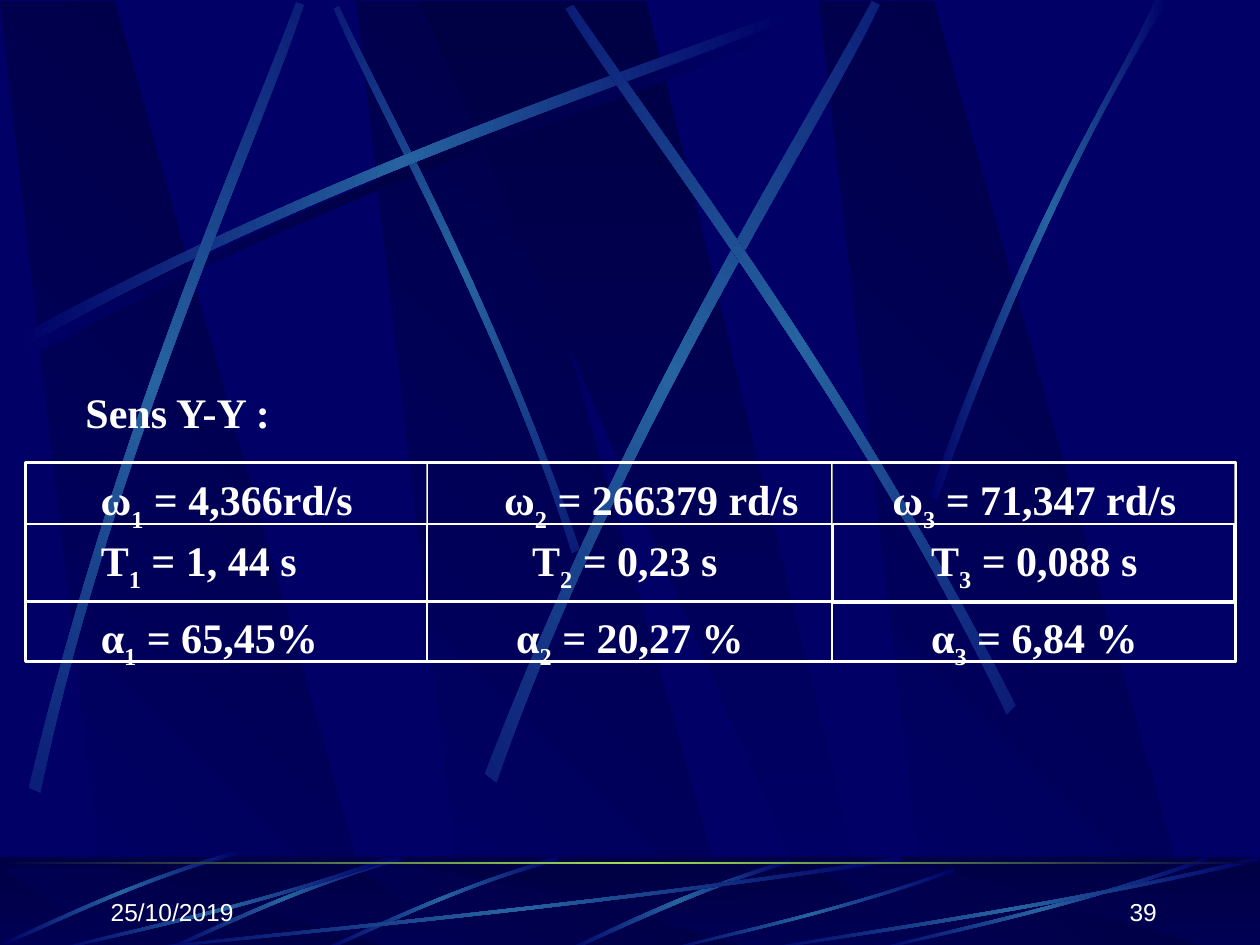
import math
from dataclasses import dataclass

import lxml.etree
import pptx
import pptx.dml.color
import pptx.enum.shapes
import pptx.enum.text
import pptx.oxml.ns
import pptx.util

Inches = pptx.util.Inches
RGBColor = pptx.dml.color.RGBColor
Align = pptx.enum.text.PP_ALIGN
Anchor = pptx.enum.text.MSO_ANCHOR
qn = pptx.oxml.ns.qn

NAVY = RGBColor(0x00, 0x00, 0x66)
DARK = RGBColor(0x00, 0x00, 0x44)
STEEL = RGBColor(0x26, 0x63, 0xA0)
LIME = RGBColor(0x9C, 0xE1, 0x57)
WHITE = RGBColor(0xFF, 0xFF, 0xFF)
GRAY = RGBColor(0xA0, 0xA0, 0xA0)
SERIF, SANS = "Times New Roman", "Arial"

Point = tuple[float, float]


@dataclass
class Streak:
    """A thin band between two cubic curves, four control points each."""
    near: list[Point]
    far: list[Point]
    turn: float = 0
    middle: RGBColor = STEEL


@dataclass
class Entry:
    symbol: str
    index: str
    value: str
    align: Align = Align.CENTER
    left_inset: float = 0
    right_inset: float = 0
    frame: RGBColor = WHITE
    weight: float = 0


@dataclass
class Band:
    start: float
    size: float


TOP_STREAKS = [
    Streak([(0.2, 2.75), (2.84, 1.34), (5.24, 0.59), (6.26, 0.18)],
           [(6.29, 0.24), (5.28, 0.69), (2.54, 1.51), (0.23, 2.85)], middle=DARK),
    Streak([(4.6, 4.36), (3.91, 2.34), (3.02, 0.77), (2.69, 0.05)],
           [(2.65, 0.07), (2.95, 0.79), (3.98, 2.58), (4.54, 4.39)], 45),
    Streak([(0.14, 2.67), (2.78, 1.25), (5.18, 0.51), (6.2, 0.1)],
           [(6.23, 0.16), (5.22, 0.61), (2.48, 1.43), (0.17, 2.77)]),
    Streak([(0.23, 6.25), (0.93, 3.34), (1.97, 1.05), (2.35, 0.02)],
           [(2.41, 0.04), (2.07, 1.09), (0.86, 3.68), (0.32, 6.29)], 311.7),
    Streak([(3.85, 6.14), (4.98, 3.2), (6.38, 1.02), (6.92, 0.01)],
           [(6.98, 0.04), (6.49, 1.08), (4.86, 3.55), (3.94, 6.21)], 321.6),
    Streak([(8.06, 5.6), (6.7, 2.93), (5.16, 0.95), (4.55, 0.04)],
           [(4.49, 0.07), (5.07, 1.01), (6.85, 3.25), (7.99, 5.67)], 34.7),
    Streak([(7.38, 3.94), (8.14, 1.73), (8.88, 0.66), (9.17, 0)],
           [(9.27, 0), (8.36, 1.45), (7.69, 3.22), (7.44, 3.97)]),
]


def steep_streak(left: float, rise: float = 0) -> Streak:
    near = [(1.86, 6.8), (0.99, 7.05), (0.31, 7.4), (0, 7.53)]
    far = [(0.01, 7.55), (0.32, 7.43), (1.09, 7.03), (1.88, 6.83)]
    return Streak(*([(left + x, y - rise) for x, y in side] for side in (near, far)))


def flat_streak(left: float, width: float, top: float = 6.8) -> Streak:
    scale = (7.55 - top) / 0.75
    near = [(1, 0.03), (0.57, 0.43), (0.17, 0.64), (0.005, 0.75)]
    far = [(0, 0.74), (0.165, 0.61), (0.615, 0.38), (0.995, 0)]
    return Streak(*([(left + x * width, top + y * scale) for x, y in side] for side in (near, far)))


BOTTOM_STREAKS = [
    Streak([(6.27, 6.82), (5.37, 7.09), (4.77, 7.42), (4.48, 7.54)],
           [(4.53, 7.55), (4.9, 7.38), (5.71, 7), (6.28, 6.85)]),
    steep_streak(2.56), steep_streak(1.31), steep_streak(0.02, 0.05),
    flat_streak(1, 6.17), flat_streak(0.42, 2.67), flat_streak(5.27, 2.31, 6.89),
    flat_streak(6.92, 2.67), flat_streak(6, 4),
]

COLUMNS = [Band(0.2, 3.19), Band(3.39, 3.21), Band(6.61, 3.19)]
ROWS = [Band(3.68, 0.48), Band(4.16, 0.62), Band(4.77, 0.48)]
RESULTS = [
    [Entry("ω", "1", " = 4,366rd/s", frame=GRAY),
     Entry("ω", "2", " = 266379 rd/s", left_inset=0.34),
     Entry("ω", "3", " = 71,347 rd/s", frame=GRAY)],
    [Entry("T", "1", " = 1, 44 s", Align.LEFT, left_inset=0.53),
     Entry("T", "2", " = 0,23 s", right_inset=0.08),
     Entry("T", "3", " = 0,088 s", weight=1.5)],
    [Entry("α", "1", " = 65,45%", Align.LEFT, left_inset=0.53),
     Entry("α", "2", " = 20,27 %"), Entry("α", "3", " = 6,84 %")],
]


def paint_gradient(shape, colors: list[RGBColor], angle: float) -> None:
    shape.shadow.inherit = False
    shape.line.fill.background()
    shape.fill.gradient()
    gradient = shape._element.spPr.find(qn("a:gradFill"))
    for child in list(gradient):
        gradient.remove(child)
    stops = lxml.etree.SubElement(gradient, qn("a:gsLst"))
    for number, color in enumerate(colors):
        position = 100000 * number // (len(colors) - 1)
        stop = lxml.etree.SubElement(stops, qn("a:gs"), pos=str(position))
        lxml.etree.SubElement(stop, qn("a:srgbClr"), val=str(color))
    lxml.etree.SubElement(gradient, qn("a:lin"), ang=str(int(angle * 60000)), scaled="0")


def add_outline(page, points: list[Point]):
    corners = [(Inches(x), Inches(y)) for x, y in points]
    builder = page.shapes.build_freeform(*corners[0])
    builder.add_line_segments(corners[1:], close=True)
    return builder.convert_to_shape()


def add_rect(page, left: float, top: float, width: float, height: float):
    kind = pptx.enum.shapes.MSO_SHAPE.RECTANGLE
    return page.shapes.add_shape(kind, Inches(left), Inches(top), Inches(width), Inches(height))


def add_frame(page, left: float, top: float, width: float, height: float,
              color: RGBColor, weight: float) -> None:
    frame = add_rect(page, left, top, width, height)
    frame.shadow.inherit = False
    frame.fill.background()
    frame.line.color.rgb = color
    frame.line.width = pptx.util.Pt(weight)


def rotate(point: Point, degrees: float) -> Point:
    cos, sin = math.cos(math.radians(degrees)), math.sin(math.radians(degrees))
    return point[0] * cos - point[1] * sin, point[0] * sin + point[1] * cos


def bend_sides(shape) -> None:
    """Turn the three lines along each side of a band into one cubic curve."""
    lines = list(shape._element.iter(qn("a:lnTo")))
    for side in (lines[:3], lines[4:7]):
        bend = lxml.etree.Element(qn("a:cubicBezTo"))
        side[0].addprevious(bend)
        for line in side:
            bend.append(line[0])
            line.getparent().remove(line)


def add_streak(page, streak: Streak) -> None:
    # Turn the band back, so that the shape's own rotation puts it in place
    flat = [rotate(p, -streak.turn) for p in streak.near + streak.far]
    center = tuple((min(axis) + max(axis)) / 2 for axis in zip(*flat))
    placed = rotate(center, streak.turn)
    move_x, move_y = placed[0] - center[0], placed[1] - center[1]
    shape = add_outline(page, [(x + move_x, y + move_y) for x, y in flat])
    bend_sides(shape)
    shape.rotation = streak.turn
    paint_gradient(shape, [NAVY, streak.middle, NAVY], 0)


def add_panels(page, top: float, bottom: float) -> None:
    for left in (2.83, 0, 6.5):
        panel = add_outline(page, [(left + 0.86, bottom), (left + 3.02, bottom),
                                   (left + 0.91, top), (left, top)])
        paint_gradient(panel, [NAVY, DARK], 315)
    wide = add_outline(page, [(3.33, top), (6.58, bottom), (6.94, bottom), (5.13, top)])
    paint_gradient(wide, [DARK, NAVY], 90)


def write(para, text: str, *, size: float = 24, font: str = SERIF, bold: bool = True,
          subscript: bool = False) -> None:
    span = para.add_run()
    span.text = text
    span.font.size, span.font.name, span.font.bold = pptx.util.Pt(size), font, bold
    span.font.color.rgb = WHITE
    if subscript:
        span._r.get_or_add_rPr().set("baseline", "-30000")


def add_box(page, left: float, top: float, width: float, height: float = 0.5, *,
            wrap: bool = True, align=Align.LEFT, anchor=Anchor.TOP):
    box = page.shapes.add_textbox(Inches(left), Inches(top), Inches(width), Inches(height))
    box.text_frame.word_wrap = wrap
    box.text_frame.vertical_anchor = anchor
    box.text_frame.paragraphs[0].alignment = align
    return box


def add_entry(page, entry: Entry, column: Band, row: Band) -> None:
    box = add_box(page, column.start + 0.07, row.start, column.size - 0.13, row.size,
                  align=entry.align)
    frame = box.text_frame
    frame.margin_left, frame.margin_right = Inches(entry.left_inset), Inches(entry.right_inset)
    frame.margin_top, frame.margin_bottom = Inches(0.08), 0
    para = frame.paragraphs[0]
    write(para, entry.symbol)
    write(para, entry.index, subscript=True)
    write(para, entry.value)
    add_frame(page, column.start, row.start, column.size, row.size, entry.frame, entry.weight)


def main() -> None:
    deck = pptx.Presentation()
    deck.slide_width, deck.slide_height = Inches(10), Inches(7.5)
    page = deck.slides.add_slide(deck.slide_layouts[6])
    page.background.fill.solid()
    page.background.fill.fore_color.rgb = NAVY

    # Backdrop
    add_panels(page, 0.01, 7.5)
    for streak in TOP_STREAKS:
        add_streak(page, streak)

    # Bottom band
    paint_gradient(add_rect(page, 0, 6.8, 10, 0.7), [DARK, NAVY], 90)
    add_panels(page, 6.88, 7.5)
    veil = add_rect(page, 0, 6.8, 10, 0.7)
    veil.shadow.inherit = False
    veil.line.fill.background()
    veil.fill.solid()
    veil.fill.fore_color.rgb = DARK
    tint = veil._element.spPr.find(qn("a:solidFill"))[0]
    lxml.etree.SubElement(tint, qn("a:alpha"), val="50000")
    for streak in BOTTOM_STREAKS:
        add_streak(page, streak)
    paint_gradient(add_rect(page, 0, 6.84, 10, 0.02), [DARK, LIME, DARK], 0)

    # Date and page number
    for text, left, align in (("25/10/2019", 0.78, Align.LEFT), ("39", 7.2, Align.RIGHT)):
        box = add_box(page, left, 6.9, 2.08, align=align, anchor=Anchor.BOTTOM)
        write(box.text_frame.paragraphs[0], text, size=14, font=SANS, bold=False)

    # Framed results
    for row, entries in zip(ROWS, RESULTS):
        for column, entry in zip(COLUMNS, entries):
            add_entry(page, entry, column, row)
    add_frame(page, 0.2, 3.67, 9.61, 1.58, WHITE, 1.5)

    # Heading
    heading = add_box(page, 0.58, 3.02, 1.81, wrap=False)
    write(heading.text_frame.paragraphs[0], "Sens Y-Y :")

    deck.save("out.pptx")


if __name__ == "__main__":
    main()
